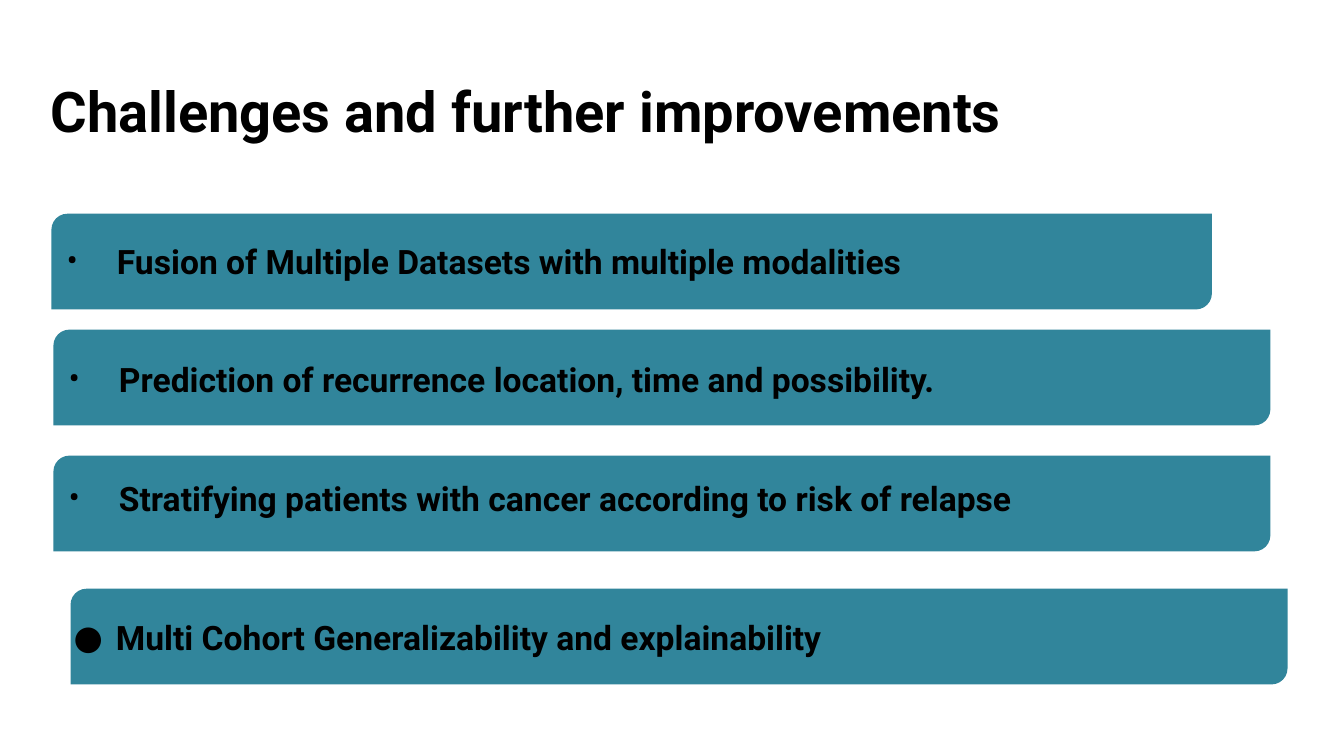
import pptx
import pptx.dml.color
import pptx.enum.shapes
import pptx.enum.text
import pptx.oxml
import pptx.oxml.ns
import pptx.util
from pptx.util import Inches

FONT = "Roboto"
INK = "000000"
TEAL = "31859B"
BAR_HEIGHT = 0.95

BARS = [
    (0.51, 2.12, 11.51),
    (0.53, 3.27, 12.07),
    (0.53, 4.52, 12.07),
    (0.7, 5.84, 12.07),
]
CHALLENGES = [
    ("Fusion of Multiple Datasets with multiple modalities", "•", 0.51, 0.5, 0),
    ("Prediction of recurrence location, time and possibility.", "•", 0.53, 0.5, 55.5),
    ("Stratifying patients with cancer according to risk of relapse", "•", 0.53, 0.5, 56),
    ("Multi Cohort Generalizability and explainability", "●", 0.5, 0.42, 71),
]


def rgb(value):
    return pptx.dml.color.RGBColor.from_string(value)


def place(placeholder, left, top, width, height):
    placeholder.left, placeholder.top = Inches(left), Inches(top)
    placeholder.width, placeholder.height = Inches(width), Inches(height)
    frame = placeholder.text_frame
    frame.margin_left = frame.margin_right = frame.margin_bottom = 0
    frame.margin_top = Inches(0.01)
    frame.word_wrap = True
    frame.auto_size = pptx.enum.text.MSO_AUTO_SIZE.NONE
    frame.vertical_anchor = pptx.enum.text.MSO_ANCHOR.TOP
    return frame


def format_text(paragraph, size, space_before=0):
    paragraph.alignment = pptx.enum.text.PP_ALIGN.LEFT
    paragraph.space_before = pptx.util.Pt(space_before)
    for run in paragraph.runs:
        run.font.name = FONT
        run.font.size = pptx.util.Pt(size)
        run.font.bold = True
        run.font.color.rgb = rgb(INK)


def add_bullet(paragraph, symbol, indent, hanging):
    """Give a paragraph a coloured bullet with a hanging indent in inches."""
    properties = paragraph._p.get_or_add_pPr()
    properties.set("marL", str(Inches(indent)))
    properties.set("indent", str(-Inches(hanging)))
    namespace = pptx.oxml.ns.nsdecls("a")
    for xml in (
        f'<a:buClr {namespace}><a:srgbClr val="{INK}"/></a:buClr>',
        f'<a:buFont {namespace} typeface="{FONT}"/>',
        f'<a:buChar {namespace} char="{symbol}"/>',
    ):
        properties.append(pptx.oxml.parse_xml(xml))


def add_bar(slide, left, top, width):
    bar = slide.shapes.add_shape(
        pptx.enum.shapes.MSO_SHAPE.ROUND_2_DIAG_RECTANGLE,
        Inches(left), Inches(top), Inches(width), Inches(BAR_HEIGHT),
    )
    bar.shadow.inherit = False
    bar.fill.solid()
    bar.fill.fore_color.rgb = rgb(TEAL)
    bar.line.fill.background()


def fill_title(slide):
    frame = place(slide.shapes.title, 0.5, 0.75, 12.46, 0.69)
    frame.text = "Challenges and further improvements"
    format_text(frame.paragraphs[0], 40)


def fill_challenges(slide):
    body = slide.placeholders[1]
    slide.shapes._spTree.append(body._element)
    frame = place(body, 0.65, 2.38, 11.6, 4.18)
    frame.text = "\n".join(challenge[0] for challenge in CHALLENGES)
    for paragraph, challenge in zip(frame.paragraphs, CHALLENGES):
        _, symbol, indent, hanging, space_before = challenge
        add_bullet(paragraph, symbol, indent, hanging)
        format_text(paragraph, 24, space_before)


def main():
    presentation = pptx.Presentation()
    presentation.slide_width = Inches(13.33)
    presentation.slide_height = Inches(7.5)
    slide = presentation.slides.add_slide(presentation.slide_layouts[1])
    fill_title(slide)
    for bar in BARS:
        add_bar(slide, *bar)
    fill_challenges(slide)
    presentation.save("out.pptx")


if __name__ == "__main__":
    main()
